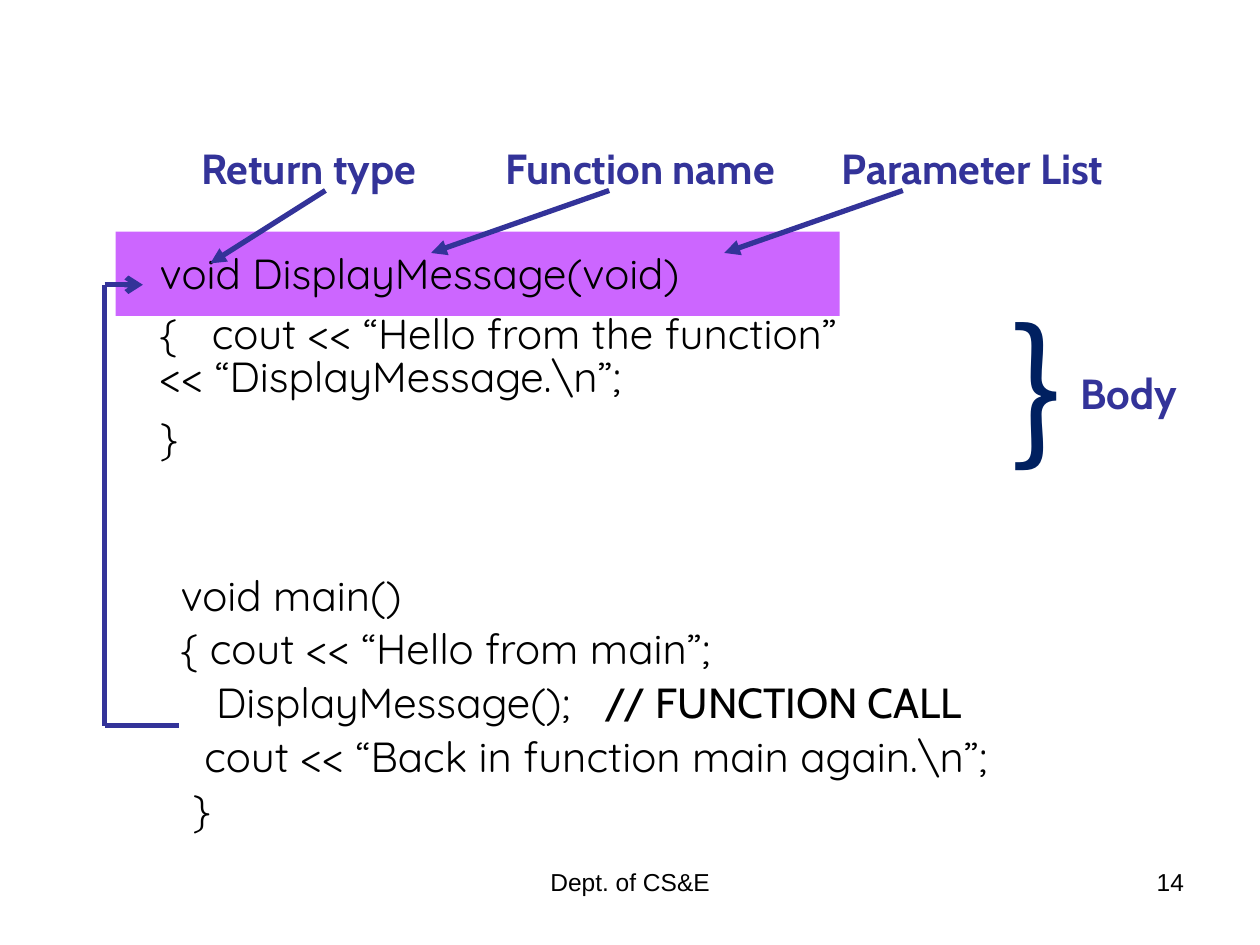
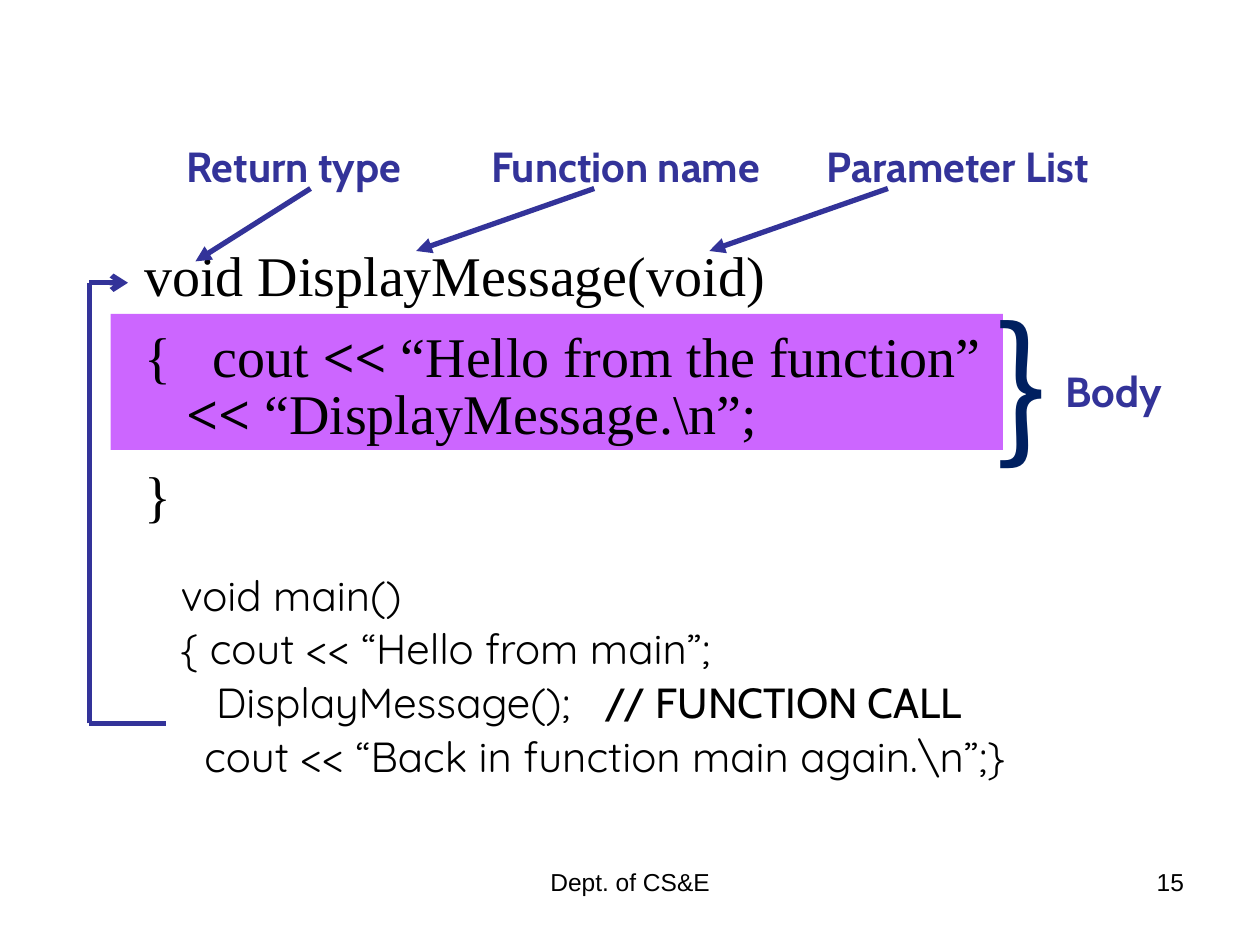
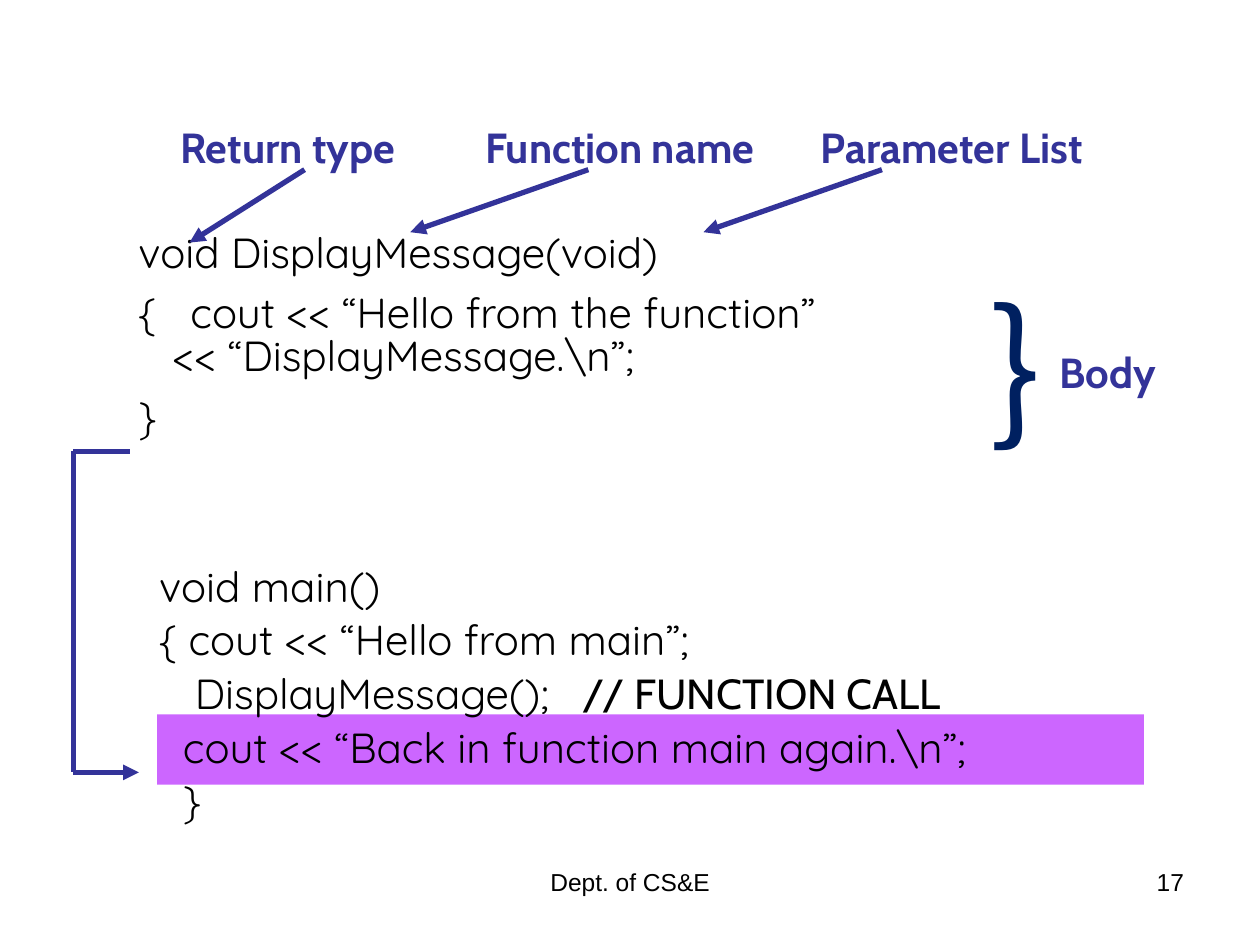
from dataclasses import dataclass, replace
from typing import Any, NamedTuple

from lxml import etree
from pptx import Presentation
from pptx.dml.color import RGBColor
from pptx.enum.shapes import MSO_CONNECTOR, MSO_SHAPE
from pptx.enum.text import MSO_AUTO_SIZE, PP_ALIGN
from pptx.oxml.ns import qn
from pptx.util import Cm, Pt

LEFT, MID, RIGHT = PP_ALIGN.LEFT, PP_ALIGN.CENTER, PP_ALIGN.RIGHT
GROW, FIXED = MSO_AUTO_SIZE.SHAPE_TO_FIT_TEXT, MSO_AUTO_SIZE.NONE
STRAIGHT = MSO_CONNECTOR.STRAIGHT
RECT = MSO_SHAPE.RECTANGLE
BLANK = 6


@dataclass(frozen=True)
class Theme:
    ink: str = "000000"
    note: str = "333399"
    band: str = "CC66FF"
    brace: str = "002060"
    small: int = 14
    text: int = 24
    large: int = 32
    huge: int = 88
    stroke: int = 3


THEME = Theme()


@dataclass(frozen=True)
class Style:
    font: str
    size: int = THEME.text
    color: str = THEME.ink
    bold: bool = False


CODE = Style("Quicksand")
SERIF = Style("Times New Roman", THEME.large)
CALL = Style("Cabin")
NOTE = Style("Cabin", color=THEME.note, bold=True)
BRACE = Style("Noto Sans CJK JP", THEME.huge, THEME.brace)
FOOT = Style("Arial", THEME.small)


class Box(NamedTuple):
    left: float
    top: float
    width: float
    height: float

    def move(self, dx: float, dy: float) -> "Box":
        return Box(self.left + dx, self.top + dy, self.width, self.height)


class Spot(NamedTuple):
    x: float
    y: float


class Run(NamedTuple):
    text: str
    style: Style


class Line(NamedTuple):
    runs: tuple[Run, ...]
    stops: tuple[float, ...] = ()
    pitch: float = 1.0
    before: float = 0
    align: Any = LEFT


class Label(NamedTuple):
    box: Box
    line: Line


class Arrow(NamedTuple):
    start: Spot
    end: Spot


@dataclass(frozen=True)
class Page:
    number: str
    shift: Spot
    band: Box
    code: Box
    code_lines: list[Line]
    main: Box
    main_lines: list[Line]
    trace: tuple[Spot, ...]
    head: str


def note(text: str, *stops: float) -> Line:
    return Line((Run(text, NOTE),), stops, before=15)


LABELS = [
    Label(Box(3.81, 2.75, 6.56, 1.27), note("Return type")),
    Label(Box(16.72, 2.74, 6.99, 1.27), note("Parameter List")),
    Label(Box(20.95, 7.28, 3.4, 1.27), note("\tBody", 0.58)),
    Label(Box(9.95, 2.74, 6.56, 2.28), note("Function name")),
    Label(Box(20.12, 5.74, 2.33, 3.98), Line((Run("}", BRACE),))),
]
ARROWS = [
    Arrow(Spot(6.56, 3.84), Spot(4.24, 5.31)),
    Arrow(Spot(12.28, 3.84), Spot(8.69, 5.1)),
    Arrow(Spot(18.2, 3.84), Spot(14.6, 5.1)),
]
FOOT_BOX = Box(8.68, 17.35, 8.05, 1.32)
PAGE_BOX = Box(18.2, 17.35, 5.92, 1.32)
STEP = 0.24  # one column of code indent


def show_code(base: Style, mark: Style, gap: float, dent: float,
              before: float) -> list[Line]:
    """Lines of DisplayMessage, with mark as the style of the << signs."""
    lead = "\t" if dent else ""
    return [
        Line((Run("void DisplayMessage(void)", base),), (), 0.75, before),
        Line((Run("{\tcout ", base), Run("<<", mark),
              Run(" “Hello from the function”", base)), (gap,), 0.85, before),
        Line((Run(lead + "<<", mark), Run(" “DisplayMessage.\\n”;", base)),
             (dent,) if dent else (), 0.85),
        Line((Run("}", base),), (), 0.85, before),
    ]


def main_code(end: str = "", depth: int = 0) -> list[Line]:
    """Lines of main; its brace stays on the last line unless depth is given."""
    rows: list[tuple[tuple[Run, ...], tuple[float, ...]]] = [
        ((Run("void main()", CODE),), ()),
        ((Run("{ cout << “Hello from main”;", CODE),), ()),
        ((Run("\tDisplayMessage();\t", CODE), Run("// FUNCTION CALL", CALL)),
         (3 * STEP, 8.54)),
        ((Run("\tcout << “Back in function main again.\\n”;" + end, CODE),),
         (2 * STEP,)),
    ]
    if depth:
        rows.append(((Run("\t}", CODE),), (depth * STEP,)))
    return [Line(runs, stops, 0.7, 10.5) for runs, stops in rows]


PAGES = [
    Page("14", Spot(0, 0), Box(2.33, 4.67, 14.6, 1.7),
         Box(2.97, 5.1, 21.8, 4.34), show_code(CODE, CODE, 1.05, 0, 10.5),
         Box(3.39, 11.63, 21.39, 5.31), main_code(depth=1),
         (Spot(3.6, 14.63), Spot(2.11, 14.63), Spot(2.11, 5.74),
          Spot(2.88, 5.74)), "arrow"),
    Page("15", Spot(-0.3, -0.04), Box(2.23, 6.33, 17.99, 2.74),
         Box(2.66, 5.05, 20.85, 5.71),
         show_code(SERIF, replace(SERIF, bold=True), 1.37, 0.85, 14),
         Box(3.39, 11.63, 22.02, 4.22), main_code(end="}"),
         (Spot(3.34, 14.58), Spot(1.8, 14.58), Spot(1.8, 5.7),
          Spot(2.58, 5.7)), "arrow"),
    Page("17", Spot(-0.42, -0.42), Box(3.17, 14.4, 19.89, 1.42),
         Box(2.54, 4.67, 20.32, 4.34), show_code(CODE, CODE, 1.05, 0.69, 10.5),
         Box(2.96, 11.45, 21.39, 5.31), main_code(depth=2),
         (Spot(2.62, 9.1), Spot(1.48, 9.1), Spot(1.48, 15.57),
          Spot(2.8, 15.57)), "triangle"),
]


def assign(target: Any, values: dict[str, Any]) -> None:
    for name, value in values.items():
        setattr(target, name, value)


def lengths(*values: float) -> list[Cm]:
    return [Cm(value) for value in values]


def add_stops(para: Any, stops: tuple[float, ...]) -> None:
    tabs = etree.SubElement(para._p.get_or_add_pPr(), qn("a:tabLst"))
    for stop in stops:
        etree.SubElement(tabs, qn("a:tab"), pos=str(Cm(stop)), algn="l")


def add_text(slide: Any, box: Box, lines: list[Line], fit: Any = GROW) -> None:
    frame = slide.shapes.add_textbox(*lengths(*box)).text_frame
    assign(frame, {"word_wrap": True, "auto_size": fit})
    for index, line in enumerate(lines):
        para = frame.add_paragraph() if index else frame.paragraphs[0]
        assign(para, {"alignment": line.align, "line_spacing": line.pitch,
                      "space_before": Pt(line.before)})
        if line.stops:
            add_stops(para, line.stops)
        for text, style in line.runs:
            run = para.add_run()
            run.text = text
            assign(run.font, {"name": style.font, "size": Pt(style.size),
                              "bold": style.bold})
            run.font.color.rgb = RGBColor.from_string(style.color)


def add_line(shapes: Any, start: Spot, end: Spot, head: str = "") -> None:
    link = shapes.add_connector(STRAIGHT, *lengths(*start, *end))
    link.line.width = Pt(THEME.stroke)
    link.line.color.rgb = RGBColor.from_string(THEME.note)
    props = link._element.spPr
    if head:
        etree.SubElement(props.find(qn("a:ln")), qn("a:tailEnd"), type=head)
    etree.SubElement(props, qn("a:effectLst"))


def add_band(slide: Any, box: Box) -> None:
    band = slide.shapes.add_shape(RECT, *lengths(*box))
    band.shadow.inherit = False
    band.fill.solid()
    band.fill.fore_color.rgb = RGBColor.from_string(THEME.band)
    band.line.fill.background()


def add_trace(slide: Any, spots: tuple[Spot, ...], head: str) -> None:
    """Flow of control as joined lines, with a head on the last."""
    group = slide.shapes.add_group_shape()
    pairs = list(zip(spots, spots[1:]))
    for start, end in pairs:
        add_line(group.shapes, start, end, head if end == spots[-1] else "")


def add_notes(slide: Any, shift: Spot) -> None:
    """Labels, brace and arrows that name the parts of the function."""
    for label in LABELS:
        add_text(slide, label.box.move(*shift), [label.line])
    for arrow in ARROWS:
        start, end = (Spot(spot.x + shift.x, spot.y + shift.y)
                      for spot in arrow)
        add_line(slide.shapes, start, end, "triangle")


def add_foot(slide: Any, box: Box, text: str, align: Any) -> None:
    add_text(slide, box, [Line((Run(text, FOOT),), align=align)], FIXED)


def add_page(deck: Any, page: Page) -> None:
    slide = deck.slides.add_slide(deck.slide_layouts[BLANK])
    add_foot(slide, FOOT_BOX, "Dept. of CS&E", MID)
    add_band(slide, page.band)
    add_text(slide, page.code, page.code_lines)
    add_text(slide, page.main, page.main_lines)
    add_trace(slide, page.trace, page.head)
    add_foot(slide, PAGE_BOX, page.number, RIGHT)
    add_notes(slide, page.shift)


def main() -> None:
    deck = Presentation()
    assign(deck, {"slide_width": Cm(25.4), "slide_height": Cm(19.05)})
    for page in PAGES:
        add_page(deck, page)
    deck.save("out.pptx")


if __name__ == "__main__":
    main()
